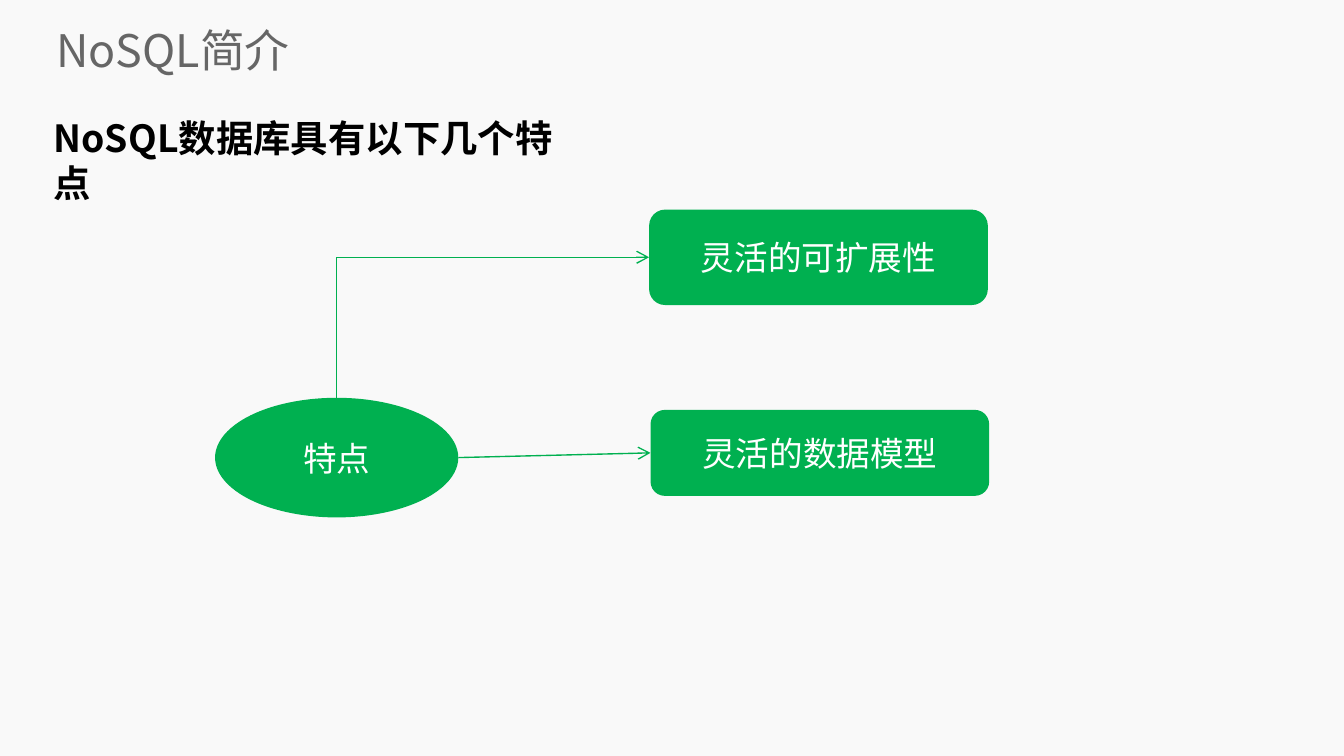
import pptx
import pptx.util
import pptx.dml.color
import pptx.enum.shapes
import pptx.enum.text
import pptx.oxml.ns
from lxml import etree

Inches, Pt = pptx.util.Inches, pptx.util.Pt
RGBColor = pptx.dml.color.RGBColor
SHAPE = pptx.enum.shapes.MSO_SHAPE
CONNECTOR = pptx.enum.shapes.MSO_CONNECTOR
ANCHOR = pptx.enum.text.MSO_ANCHOR
ALIGN = pptx.enum.text.PP_ALIGN
qn = pptx.oxml.ns.qn

# Content: text and box (left, top, width, height) in inches
TITLE = ("NoSQL简介", (0.42, 0.18, 9.43, 0.38))
HEADING = ("NoSQL数据库具有以下几个特点", (0.3, 0.81, 3.99, 0.44))
HUB = ("特点", (1.6, 2.96, 1.81, 0.89))
FEATURES = [
    ("灵活的可扩展性", (4.83, 1.56, 2.52, 0.71)),
    ("灵活的数据模型", (4.84, 3.05, 2.52, 0.64)),
]

FONT = "Noto Sans CJK SC"
BACKGROUND = RGBColor(0xF9, 0xF9, 0xF9)
GREEN = RGBColor(0x00, 0xB0, 0x50)
GRAY = RGBColor(0x66, 0x66, 0x66)
BLACK = RGBColor(0, 0, 0)
WHITE = RGBColor(0xFF, 0xFF, 0xFF)


def write(shape, text, size, color, bold=False):
    tf = shape.text_frame
    tf.word_wrap = True
    p = tf.paragraphs[0]
    r = p.add_run()
    r.text = text
    r.font.size, r.font.bold = Pt(size), bold
    r.font.name = FONT
    r.font.color.rgb = color
    rPr = r.font._element
    rPr.set("lang", "zh-CN")
    etree.SubElement(rPr, qn("a:ea")).set("typeface", FONT)
    return tf


def add_text(item, size, color, bold=False):
    text, box = item
    s = slide.shapes.add_textbox(*map(Inches, box))
    return write(s, text, size, color, bold)


def add_node(kind, item):
    text, box = item
    s = slide.shapes.add_shape(kind, *map(Inches, box))
    s.shadow.inherit = False
    s.fill.solid()
    s.fill.fore_color.rgb = GREEN
    s.line.fill.background()
    tf = write(s, text, 18, WHITE)
    tf.vertical_anchor = ANCHOR.MIDDLE
    tf.paragraphs[0].alignment = ALIGN.CENTER
    return s


def add_arrow(kind, start, target):
    s = slide.shapes.add_connector(kind, *start, *start)
    s.end_connect(target, 1)
    s.line.color.rgb = GREEN
    s.line.width = Pt(0.75)
    spPr = s._element.spPr
    etree.SubElement(spPr.find(qn("a:ln")), qn("a:tailEnd")).set("type", "arrow")
    etree.SubElement(spPr, qn("a:effectLst"))
    return s


# Widescreen slide, 16:9
prs = pptx.Presentation()
prs.slide_width = Inches(10)
prs.slide_height = prs.slide_width * 9 // 16
slide = prs.slides.add_slide(prs.slide_layouts[6])
slide.background.fill.solid()
slide.background.fill.fore_color.rgb = BACKGROUND

# Title
tf = add_text(TITLE, 24, GRAY)
tf.margin_left = tf.margin_right = tf.margin_top = tf.margin_bottom = 0
tf.vertical_anchor = ANCHOR.MIDDLE

# Hub and its features
hub = add_node(SHAPE.OVAL, HUB)
scaling, model = [add_node(SHAPE.ROUNDED_RECTANGLE, f) for f in FEATURES]

# One-corner arrow from the hub's top: a quarter turn swaps width and height
hub_top = (hub.left + hub.width // 2, hub.top)
bent = add_arrow(CONNECTOR.ELBOW, hub_top, scaling)
bent.begin_connect(hub, 0)
x, y, w, h = bent.left, bent.top, bent.width, bent.height
bent.left, bent.top = x + (w - h) // 2, y + (h - w) // 2
bent.width, bent.height = h, w
spPr = bent._element.spPr
spPr.find(qn("a:prstGeom")).set("prst", "bentConnector2")
for key, value in (("rot", "5400000"), ("flipH", "1"), ("flipV", "1")):
    spPr.find(qn("a:xfrm")).set(key, value)

# Straight arrow from the hub's right side
hub_right = (hub.left + hub.width, hub.top + hub.height // 2)
add_arrow(CONNECTOR.STRAIGHT, hub_right, model)

# Heading
add_text(HEADING, 20, BLACK, bold=True)

prs.save("out.pptx")
